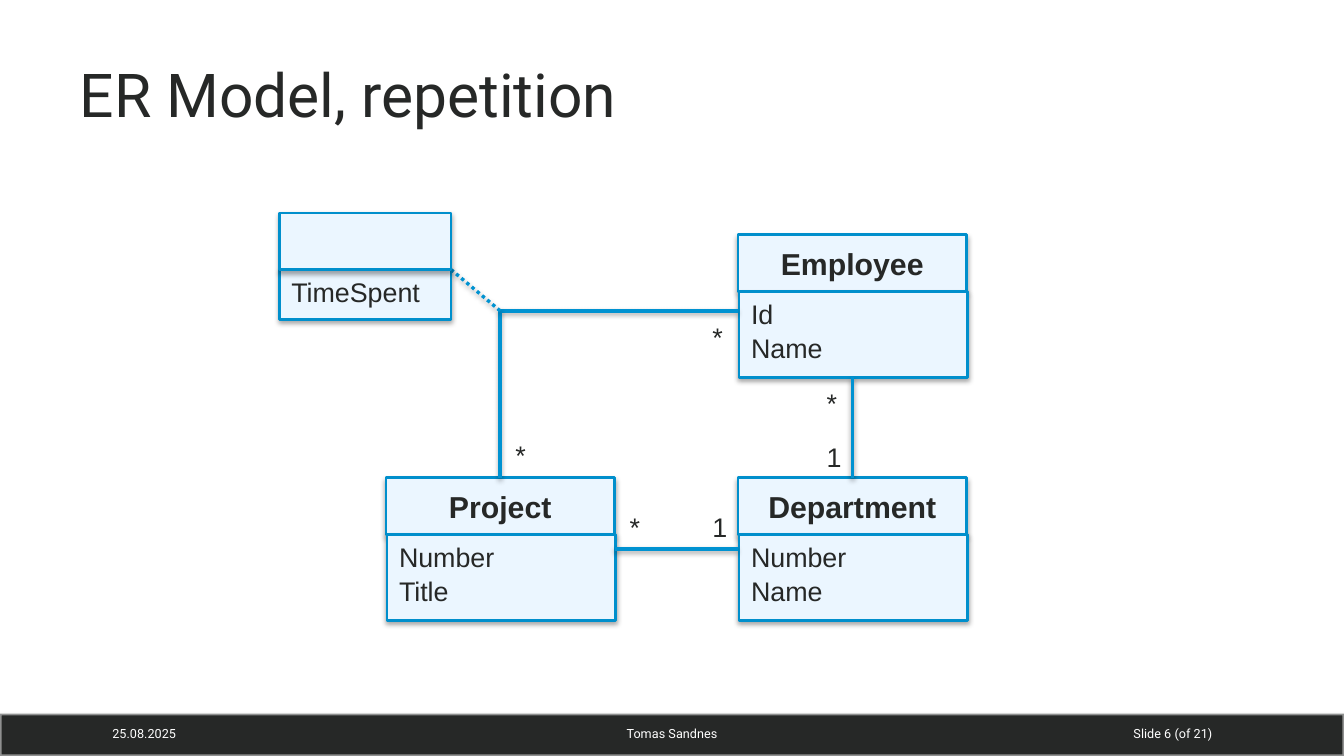
from lxml.etree import SubElement
from pptx import Presentation
from pptx.dml.color import RGBColor
from pptx.enum.dml import MSO_LINE
from pptx.enum.shapes import MSO_CONNECTOR, MSO_SHAPE
from pptx.enum.text import MSO_ANCHOR, PP_ALIGN
from pptx.oxml.ns import qn
from pptx.util import Inches, Pt

COLORS = {
    "ink": "262827",
    "white": "FFFFFF",
    "bar_edge": "F9F9F9",
    "box_fill": "EBF6FF",
    "box_edge": "008FCC",
    "link": "0092D1",
    "shadow": "000000",
}
SLIDE_W, SLIDE_H = 11.11, 6.25
HEADER_H, ATTRIBUTES_H, CLASS_W = 0.47, 0.71, 1.89
LABEL_W, LABEL_H = 0.31, 0.37


def rgb(name):
    return RGBColor.from_string(COLORS[name])


def inches(*lengths):
    return [Inches(length) for length in lengths]


def drop_shadow(effects, distance, opacity):
    shadow = SubElement(effects, qn("a:outerShdw"), blurRad=str(Pt(3.1)),
                        dist=str(Pt(distance)), dir="5400000", rotWithShape="0")
    color = SubElement(shadow, qn("a:srgbClr"), val=COLORS["shadow"])
    SubElement(color, qn("a:alpha"), val=str(opacity * 1000))


def write(frame, lines, size, font="Arial", color="ink", bold=False,
          align=PP_ALIGN.LEFT, anchor=MSO_ANCHOR.TOP):
    frame.word_wrap = True
    frame.vertical_anchor = anchor
    frame.text = "\n".join(lines)
    for index, paragraph in enumerate(frame.paragraphs):
        paragraph.alignment = align
        if index:
            paragraph.space_before = Pt(1)
        paragraph.font.size = Pt(size)
        paragraph.font.name = font
        paragraph.font.bold = bold
        paragraph.font.color.rgb = rgb(color)


def add_text(slide, box, text, size, **style):
    write(slide.shapes.add_textbox(*inches(*box)).text_frame, [text], size, **style)


def add_rectangle(slide, box, fill, edge, width):
    rectangle = slide.shapes.add_shape(MSO_SHAPE.RECTANGLE, *inches(*box))
    rectangle.shadow.inherit = False
    rectangle.fill.solid()
    rectangle.fill.fore_color.rgb = rgb(fill)
    rectangle.line.color.rgb = rgb(edge)
    rectangle.line.width = Pt(width)
    return rectangle


def add_compartment(slide, box):
    compartment = add_rectangle(slide, box, "box_fill", "box_edge", 1.5)
    drop_shadow(compartment._element.spPr.find(qn("a:effectLst")), 1.8, 35)
    return compartment.text_frame


def add_class(slide, left, top, name, attributes):
    header = add_compartment(slide, (left, top, CLASS_W, HEADER_H))
    write(header, [name], 18, bold=True, align=PP_ALIGN.CENTER,
          anchor=MSO_ANCHOR.MIDDLE)
    body = add_compartment(
        slide, (left + 0.01, top + HEADER_H, CLASS_W, ATTRIBUTES_H))
    write(body, attributes, 16)


def add_association_class(slide, left, top, width, attribute):
    body = add_compartment(slide, (left, top + HEADER_H, width, 0.41))
    write(body, [attribute], 16)
    add_compartment(slide, (left, top, width, HEADER_H))


def add_link(slide, start, end, bent=False, dotted=False):
    kind = MSO_CONNECTOR.ELBOW if bent else MSO_CONNECTOR.STRAIGHT
    link = slide.shapes.add_connector(kind, *inches(*start, *end))
    link.line.color.rgb = rgb("link")
    link.line.width = Pt(2)
    if dotted:
        link.line.dash_style = MSO_LINE.ROUND_DOT
    properties = link._element.spPr
    if bent:  # a single corner: across first, then down
        properties.find(qn("a:prstGeom")).set("prst", "bentConnector2")
    drop_shadow(SubElement(properties, qn("a:effectLst")), 1.6, 38)


def add_multiplicity(slide, left, top, text, align=PP_ALIGN.LEFT):
    add_text(slide, (left, top, LABEL_W, LABEL_H), text, 16, align=align)


def add_footer(slide, left, top, width, height):
    bar = add_rectangle(slide, (left, top, width, height), "ink", "bar_edge", 2)
    edge_color = bar.line._ln.find(".//" + qn("a:srgbClr"))
    SubElement(edge_color, qn("a:alpha"), val="50000")
    for offset, span, text, align in (
        (0.83, 2.59, "25.08.2025", PP_ALIGN.LEFT),
        (3.89, 3.33, "Tomas Sandnes", PP_ALIGN.CENTER),
        (8.23, 1.89, "Slide 6 (of 21)", PP_ALIGN.RIGHT),
    ):
        add_text(slide, (left + offset, top, span, 0.33), text, 7.5, font="Roboto",
                 color="white", align=align, anchor=MSO_ANCHOR.MIDDLE)


def add_title(slide, left, top, width, height, text):
    title = slide.shapes.title
    title.left, title.top, title.width, title.height = inches(left, top, width, height)
    write(title.text_frame, [text], 36, font="Roboto", anchor=MSO_ANCHOR.MIDDLE)


def add_er_diagram(slide, left, top):
    project_x, employee_x = left + 0.88, left + 3.79
    employee_y, lower_y = top + 0.18, top + 2.19
    employee_bottom = employee_y + HEADER_H + ATTRIBUTES_H
    project_right = project_x + CLASS_W
    corner_x, corner_y = project_x + CLASS_W / 2, top + 0.81
    department_x = employee_x + CLASS_W / 2
    lower_link_y = lower_y + 0.59

    add_class(slide, employee_x, employee_y, "Employee", ["Id", "Name"])
    add_class(slide, employee_x, lower_y, "Department", ["Number", "Name"])
    add_class(slide, project_x, lower_y, "Project", ["Number", "Title"])

    add_link(slide, (department_x, employee_bottom), (department_x, lower_y))
    add_multiplicity(slide, department_x - LABEL_W, employee_bottom + 0.03, "*")
    add_multiplicity(slide, department_x - LABEL_W, lower_y - LABEL_H + 0.01, "1")

    add_link(slide, (employee_x, lower_link_y), (project_right, lower_link_y))
    add_multiplicity(slide, project_right, lower_link_y - LABEL_H, "*", PP_ALIGN.RIGHT)
    add_multiplicity(slide, employee_x - LABEL_W, lower_link_y - LABEL_H, "1")

    add_link(slide, (employee_x, corner_y), (corner_x, lower_y), bent=True)
    add_multiplicity(slide, employee_x - LABEL_W, corner_y + 0.03, "*")
    add_multiplicity(slide, corner_x, lower_y - LABEL_H, "*", PP_ALIGN.RIGHT)

    time_spent_w = 1.42
    add_link(slide, (corner_x, corner_y), (left + time_spent_w, top + HEADER_H),
             dotted=True)
    add_association_class(slide, left, top, time_spent_w, "TimeSpent")


def main():
    presentation = Presentation()
    presentation.slide_width, presentation.slide_height = inches(SLIDE_W, SLIDE_H)
    slide = presentation.slides.add_slide(presentation.slide_layouts[5])
    add_footer(slide, 0, 5.9, SLIDE_W, 0.35)
    add_title(slide, 0.56, 0.25, 10, 1.04, "ER Model, repetition")
    add_er_diagram(slide, 2.31, 1.76)
    presentation.save("out.pptx")


if __name__ == "__main__":
    main()
